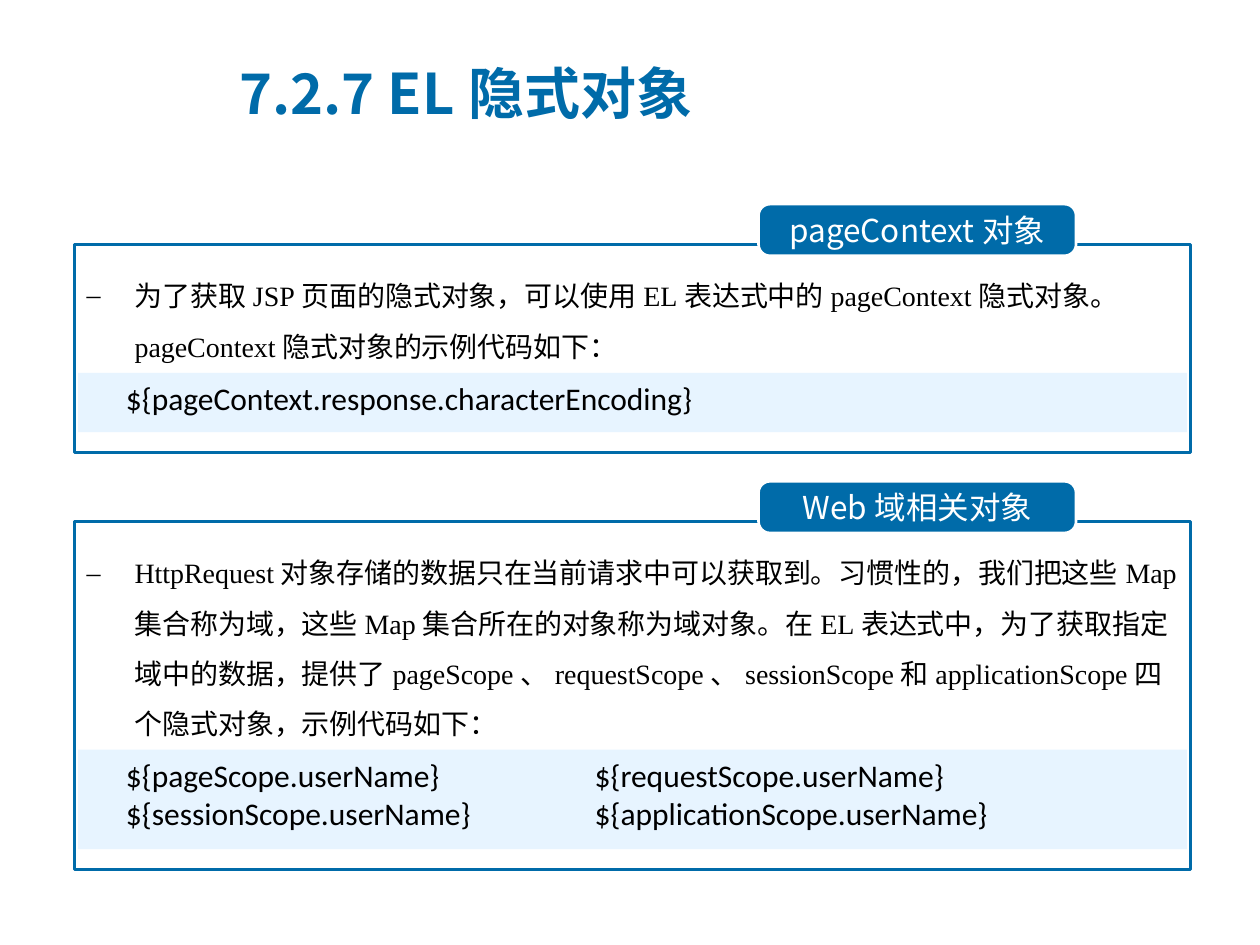
from lxml.etree import SubElement
from pptx import Presentation
from pptx.dml.color import RGBColor
from pptx.enum.shapes import MSO_SHAPE
from pptx.enum.text import MSO_ANCHOR, PP_ALIGN
from pptx.oxml.ns import qn
from pptx.util import Inches, Pt

BLUE, PALE, WHITE, BLACK = "006BA9", "E7F4FF", "FFFFFF", "000000"
CJK, SERIF = "Noto Sans CJK SC", "Times New Roman"
SLIDE_W, SLIDE_H = 10, 7.5
PANEL_X, PANEL_W = 0.59, 8.86
PANELS = [
    dict(top=1.94, height=1.65, code_top=1.02, code_height=0.47,
         label="pageContext对象",
         body="为了获取JSP页面的隐式对象，可以使用EL表达式中的pageContext隐式对象。 "
              "pageContext隐式对象的示例代码如下：",
         code=["${pageContext.response.characterEncoding}"]),
    dict(top=4.14, height=2.76, code_top=1.81, code_height=0.79,
         label="Web域相关对象",
         body="HttpRequest对象存储的数据只在当前请求中可以获取到。习惯性的，我们把这些Map集合称为域，"
              "这些Map集合所在的对象称为域对象。在EL表达式中，为了获取指定域中的数据，提供了pageScope、"
              "requestScope、sessionScope和applicationScope四个隐式对象，示例代码如下：",
         code=["${pageScope.userName}\t${requestScope.userName}",
               "${sessionScope.userName}\t${applicationScope.userName}"]),
]


def color(value):
    """Turn a hex string into a colour."""
    return RGBColor.from_string(value)


def assign(target, **values):
    """Set each named attribute on the target."""
    for name, value in values.items():
        setattr(target, name, value)


def place(sp, x, y, w, h):
    """Position a shape by a box in inches."""
    assign(sp, left=Inches(x), top=Inches(y), width=Inches(w), height=Inches(h))


def add_box(s, kind, box, fill=None, line=None):
    """Add a flat preset shape with optional fill and outline."""
    sp = s.shapes.add_shape(kind, *map(Inches, box))
    sp.shadow.inherit = False
    if fill:
        sp.fill.solid()
        sp.fill.fore_color.rgb = color(fill)
    else:
        sp.fill.background()
    if line:
        sp.line.color.rgb = color(line)
        sp.line.width = Pt(1.5)
    else:
        sp.line.fill.background()
    return sp


def write(p, text, font, size, ink, bold=False, align=PP_ALIGN.LEFT):
    """Write one formatted run into a paragraph."""
    p.alignment = align
    r = p.add_run()
    r.text = text
    assign(r.font, name=font, size=Pt(size), bold=bold)
    r.font.color.rgb = color(ink)
    SubElement(r.font._element, qn("a:ea"), typeface=CJK)


def add_title(s, box, text):
    """Place and format the slide title."""
    sp = s.shapes.title
    place(sp, *box)
    assign(sp.text_frame, word_wrap=True, vertical_anchor=MSO_ANCHOR.MIDDLE)
    write(sp.text_frame.paragraphs[0], text, CJK, 32, BLUE, bold=True)


def add_body(s, box, text):
    """Add a dash-bulleted paragraph with a hanging indent."""
    tf = s.shapes.add_textbox(*map(Inches, box)).text_frame
    tf.word_wrap = True
    p = tf.paragraphs[0]
    assign(p, line_spacing=1.5, space_before=Pt(4))
    write(p, text, SERIF, 16, BLACK)
    pPr = p._p.get_or_add_pPr()
    pPr.set("marL", str(Inches(0.38)))
    pPr.set("indent", str(Inches(-0.38)))
    SubElement(pPr, qn("a:buFont"), typeface=SERIF)
    SubElement(pPr, qn("a:buChar"), char="–")


def add_label(s, box, text):
    """Add the rounded one-line label that sits on a panel's upper edge."""
    sp = add_box(s, MSO_SHAPE.ROUNDED_RECTANGLE, box, BLUE, WHITE)
    sp.adjustments[0] = 0.22
    tf = sp.text_frame
    assign(tf, word_wrap=True, vertical_anchor=MSO_ANCHOR.MIDDLE,
           margin_left=Inches(0.1), margin_right=Inches(0.1),
           margin_top=Inches(0.06), margin_bottom=Inches(0.06))
    write(tf.paragraphs[0], text, CJK, 18, WHITE, align=PP_ALIGN.CENTER)


def add_code(s, box, lines):
    """Add a tinted code strip with a second column at a tab stop."""
    tf = add_box(s, MSO_SHAPE.RECTANGLE, box, PALE).text_frame
    assign(tf, word_wrap=True, vertical_anchor=MSO_ANCHOR.TOP,
           margin_left=Inches(0.38))
    for i, line in enumerate(lines):
        p = tf.add_paragraph() if i else tf.paragraphs[0]
        write(p, line, "Calibri", 18, BLACK)
        if "\t" in line:
            tabs = SubElement(p._p.get_or_add_pPr(), qn("a:tabLst"))
            SubElement(tabs, qn("a:tab"), pos=str(Inches(3.72)), algn="l")


def add_panel(s, x, w, top, height, code_top, code_height, label, body, code):
    """Build one framed panel with its text, label and code strip."""
    add_body(s, (x, top + 0.09, w, code_top - 0.09), body)
    add_box(s, MSO_SHAPE.RECTANGLE, (x, top, w, height), line=BLUE)
    add_label(s, (x + 5.43, top - 0.32, 2.52, 0.41), label)
    add_code(s, (x + 0.03, top + code_top, w - 0.06, code_height), code)


def main():
    """Build and save the slide."""
    prs = Presentation()
    assign(prs, slide_width=Inches(SLIDE_W), slide_height=Inches(SLIDE_H))
    s = prs.slides.add_slide(prs.slide_layouts[5])
    add_title(s, (1.8, 0.43, 6.78, 0.61), "7.2.7 EL隐式对象")
    for panel in PANELS:
        add_panel(s, PANEL_X, PANEL_W, **panel)
    prs.save("out.pptx")


if __name__ == "__main__":
    main()
